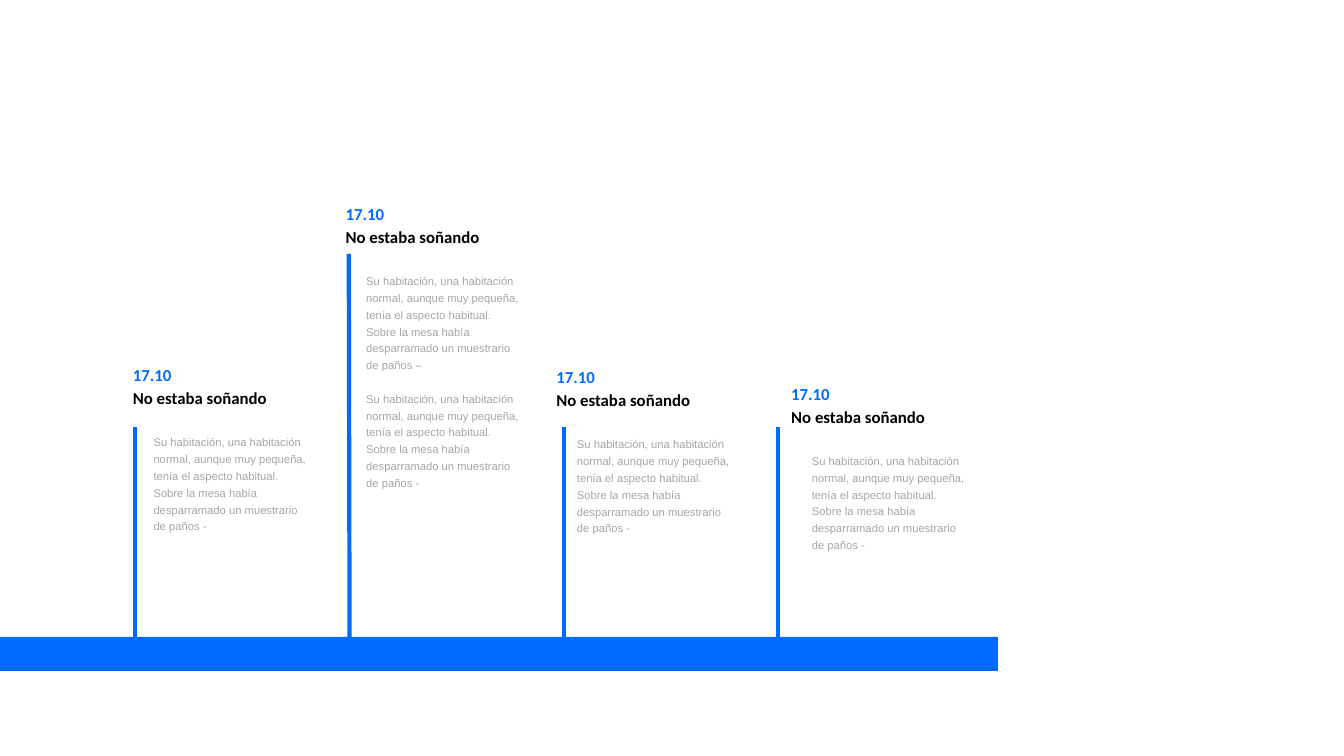
import pptx
import pptx.util
import pptx.dml.color
import pptx.enum.shapes
import pptx.enum.text
import pptx.oxml.ns
from lxml import etree

Cm = pptx.util.Cm
Pt = pptx.util.Pt
RGBColor = pptx.dml.color.RGBColor
ALIGN = pptx.enum.text.PP_ALIGN

BLUE = RGBColor(0x00, 0x6B, 0xFF)
BLACK = RGBColor(0x00, 0x00, 0x00)
GREY = RGBColor(0xA6, 0xA6, 0xA6)

DATE = "17.10"
TITLE = "No estaba soñando"
BODY = ("Su habitación, una habitación normal, aunque muy pequeña, "
        "tenía el aspecto habitual. Sobre la mesa había desparramado "
        "un muestrario de paños ")
SHORT = [BODY + "-"]
LONG = [BODY + "–", BODY + "-"]

BASE = 16.05  # top of the time bar, in cm

# Left and top of the text, stem from (x, y) to (x, y), body paragraphs
EVENTS = [
    (3.1, 8.81, (3.4, BASE), (3.4, 10.77), SHORT),
    (8.46, 4.75, (8.81, 16.18), (8.79, 6.4), LONG),
    (13.77, 8.86, (14.22, BASE), (14.22, 10.77), SHORT),
    (19.69, 9.28, (19.61, BASE), (19.61, 10.77), SHORT),
]


def add_text(slide, paras, x, y, w, h, font="Calibri", size=12, color=BLACK,
             bold=False, align=ALIGN.LEFT, lead=1.5, gap=0):
    box = slide.shapes.add_textbox(Cm(x), Cm(y), Cm(w), Cm(h))
    frame = box.text_frame
    frame.word_wrap = True
    frame.auto_size = pptx.enum.text.MSO_AUTO_SIZE.SHAPE_TO_FIT_TEXT
    for i, text in enumerate(paras):
        para = frame.add_paragraph() if i else frame.paragraphs[0]
        para.alignment = align
        para.line_spacing = lead
        if i:
            para.space_before = Pt(gap)
        run = para.add_run()
        run.text = text
        run.font.name = font
        run.font.size = Pt(size)
        run.font.bold = bold
        run.font.color.rgb = color


def add_bar(slide, x, y, w, h):
    bar = slide.shapes.add_shape(pptx.enum.shapes.MSO_SHAPE.RECTANGLE,
                                 Cm(x), Cm(y), Cm(w), Cm(h))
    bar.shadow.inherit = False
    bar.fill.solid()
    bar.fill.fore_color.rgb = BLUE
    bar.line.fill.background()


def add_stem(slide, start, end):
    stem = slide.shapes.add_connector(
        pptx.enum.shapes.MSO_CONNECTOR.STRAIGHT,
        *[Cm(v) for v in start + end])
    stem.line.color.rgb = BLUE
    stem.line.width = Pt(3)
    etree.SubElement(stem._element.spPr, pptx.oxml.ns.qn("a:effectLst"))


def add_event(slide, x, y, paras):
    head = dict(bold=True, align=ALIGN.JUSTIFY)
    add_text(slide, [TITLE], x, y + 0.59, 4.8, 1.02, **head)
    add_text(slide, paras, x + 0.52, y + 1.96, 4.47,
             2.82 if len(paras) == 1 else 6.2, font="Arial", size=8,
             color=GREY, lead=Pt(12), gap=12)
    add_text(slide, [DATE], x, y, 4.37, 0.94, color=BLUE, **head)


def main():
    deck = pptx.Presentation()
    deck.slide_width = Cm(33.87)
    deck.slide_height = Cm(19.05)
    slide = deck.slides.add_slide(deck.slide_layouts[6])

    # Time bar
    add_bar(slide, 0, BASE, 25.15, 0.86)

    # Events and their stems
    for x, y, start, end, paras in EVENTS:
        add_event(slide, x, y, paras)
        add_stem(slide, start, end)

    deck.save("out.pptx")


if __name__ == "__main__":
    main()
